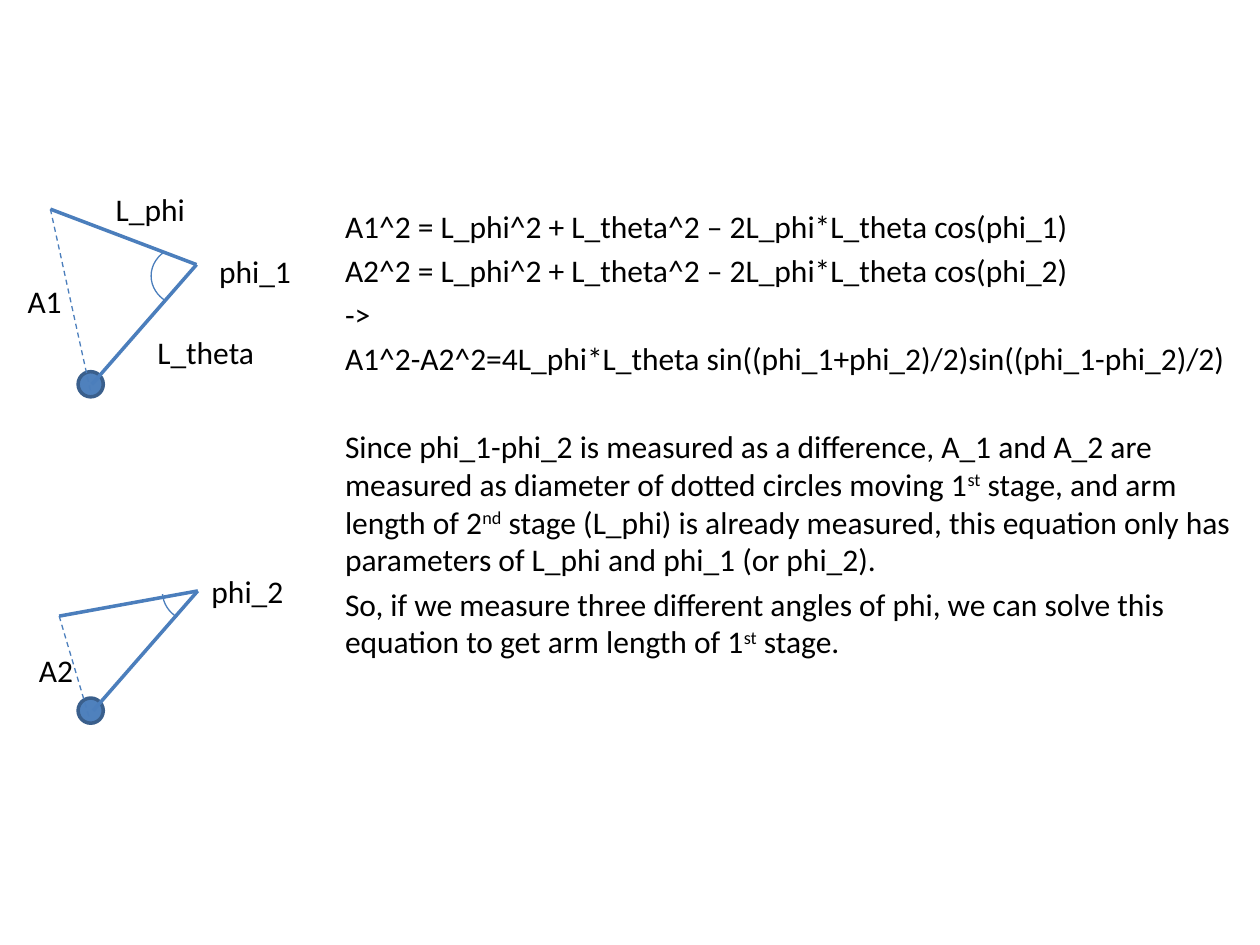
from pptx import Presentation
from pptx.dml.color import RGBColor
from pptx.enum.dml import MSO_LINE
from pptx.enum.shapes import MSO_CONNECTOR, MSO_SHAPE
from pptx.enum.text import MSO_AUTO_SIZE
from pptx.oxml.ns import qn
from pptx.util import Inches, Pt
from lxml.etree import SubElement


def tint(code):
    """Turn a hex string into a colour."""
    return RGBColor.from_string(code)


class Board:
    """Hold the style and the slide, on a grid of 100 columns by 75 rows."""

    font, size, ink = "Calibri", 18, "000000"
    blue, edge, line = "4F81BD", "3A5F8C", "4B7EBC"
    thick, thin, gap = 2, 0.75, 3.6

    def __init__(self):
        """Open a deck with one blank slide."""
        self.deck = Presentation()
        self.deck.slide_width, self.deck.slide_height = Inches(10), Inches(7.5)
        self.slide = self.deck.slides.add_slide(self.deck.slide_layouts[6])
        self.unit = self.deck.slide_width / 100

    def grid(self, *cells):
        """Turn grid cells into lengths."""
        return [round(cell * self.unit) for cell in cells]

    def shape(self, kind, box, line, width):
        """Add an unfilled preset shape."""
        item = self.slide.shapes.add_shape(kind, *self.grid(*box))
        item.shadow.inherit = False
        item.fill.background()
        item.line.color.rgb = tint(line)
        item.line.width = Pt(width)
        return item

    def hub(self, left, top):
        """Add a round pivot."""
        item = self.shape(MSO_SHAPE.OVAL, (left, top, 2, 2), self.edge, self.thick)
        item.fill.solid()
        item.fill.fore_color.rgb = tint(self.blue)

    def arc(self, left, top, start, end):
        """Add an angle mark between two bearings in degrees."""
        box = (left, top, 5.3, 4.8)
        item = self.shape(MSO_SHAPE.ARC, box, self.line, self.thin)
        for spot, angle in enumerate((start, end)):
            item.adjustments[spot] = angle * 0.6

    def link(self, start, end, dash=False):
        """Add a solid arm or a thin dashed span."""
        item = self.slide.shapes.add_connector(
            MSO_CONNECTOR.STRAIGHT, *self.grid(*start, *end))
        item.line.color.rgb = tint(self.line)
        item.line.width = Pt(self.thin if dash else self.thick)
        if dash:
            item.line.dash_style = MSO_LINE.DASH
        SubElement(item._element.spPr, qn("a:effectLst"))

    def run(self, para, text, high=False):
        """Add one run, raised if asked."""
        item = para.add_run()
        item.text = text
        item.font.name, item.font.size = self.font, Pt(self.size)
        item.font.color.rgb = tint(self.ink)
        if high:
            item.font._element.set("baseline", "30000")

    def label(self, text, left, top, width):
        """Add a short label that fits its text."""
        box = self.slide.shapes.add_textbox(*self.grid(left, top, width, 4))
        box.text_frame.word_wrap = False
        box.text_frame.auto_size = MSO_AUTO_SIZE.SHAPE_TO_FIT_TEXT
        self.run(box.text_frame.paragraphs[0], text)

    def prose(self, box, paras):
        """Add paragraphs of (space, runs); every second run is raised."""
        frame = self.slide.shapes.add_textbox(*self.grid(*box)).text_frame
        frame.word_wrap = True
        for spot, (space, runs) in enumerate(paras):
            para = frame.add_paragraph() if spot else frame.paragraphs[0]
            para.space_before = Pt(space)
            for turn, text in enumerate(runs):
                self.run(para, text, turn % 2 == 1)


def main():
    """Build the slide."""
    board = Board()
    arms = [
        ((6.2, 29.5), (7.3, 30.5), (15.6, 21), (4, 16.6), (7.2, 31.1)),
        ((6.2, 55.4), (7.4, 56.4), (15.7, 46.9), (4.7, 48.9), (7.1, 57)),
    ]
    for hub, base, joint, tip, foot in arms:
        board.hub(*hub)
        board.link(base, joint)
        board.link(joint, tip)
        board.link(tip, foot, dash=True)
    board.arc(12, 19.5, 127, 226.8)
    board.arc(12.9, 44.6, 127, 176.6)

    labels = [
        ("A1", 1.2, 21.9, 4.8), ("A2", 2.1, 51.2, 4.8),
        ("L_phi", 8.2, 14.6, 7.6), ("L_theta", 11.5, 25.9, 9.8),
        ("phi_1", 16.4, 19.5, 7.8), ("phi_2", 15.8, 44.9, 7.8),
    ]
    for item in labels:
        board.label(*item)

    gap = board.gap
    board.prose((26.4, 15.9, 73.6, 41.5), [
        (gap, ["A1^2 = L_phi^2 + L_theta^2 – 2L_phi*L_theta cos(phi_1)"]),
        (gap, ["A2^2 = L_phi^2 + L_theta^2 – 2L_phi*L_theta cos(phi_2)"]),
        (gap, ["->"]),
        (gap, ["A1^2-A2^2=4L_phi*L_theta "
               "sin((phi_1+phi_2)/2)sin((phi_1-phi_2)/2)"]),
        (gap * 8, ["Since phi_1-phi_2 is measured as a difference, A_1 and A_2 "
                   "are measured as diameter of dotted circles moving 1", "st",
                   " stage, and arm length of 2", "nd",
                   " stage (L_phi) is already measured, this equation only "
                   "has parameters of L_phi and phi_1 (or phi_2)."]),
        (gap, ["So, if we measure three different angles of phi, we can solve "
               "this equation to get arm length of 1", "st", " stage."]),
    ])
    board.deck.save("out.pptx")


if __name__ == "__main__":
    main()
